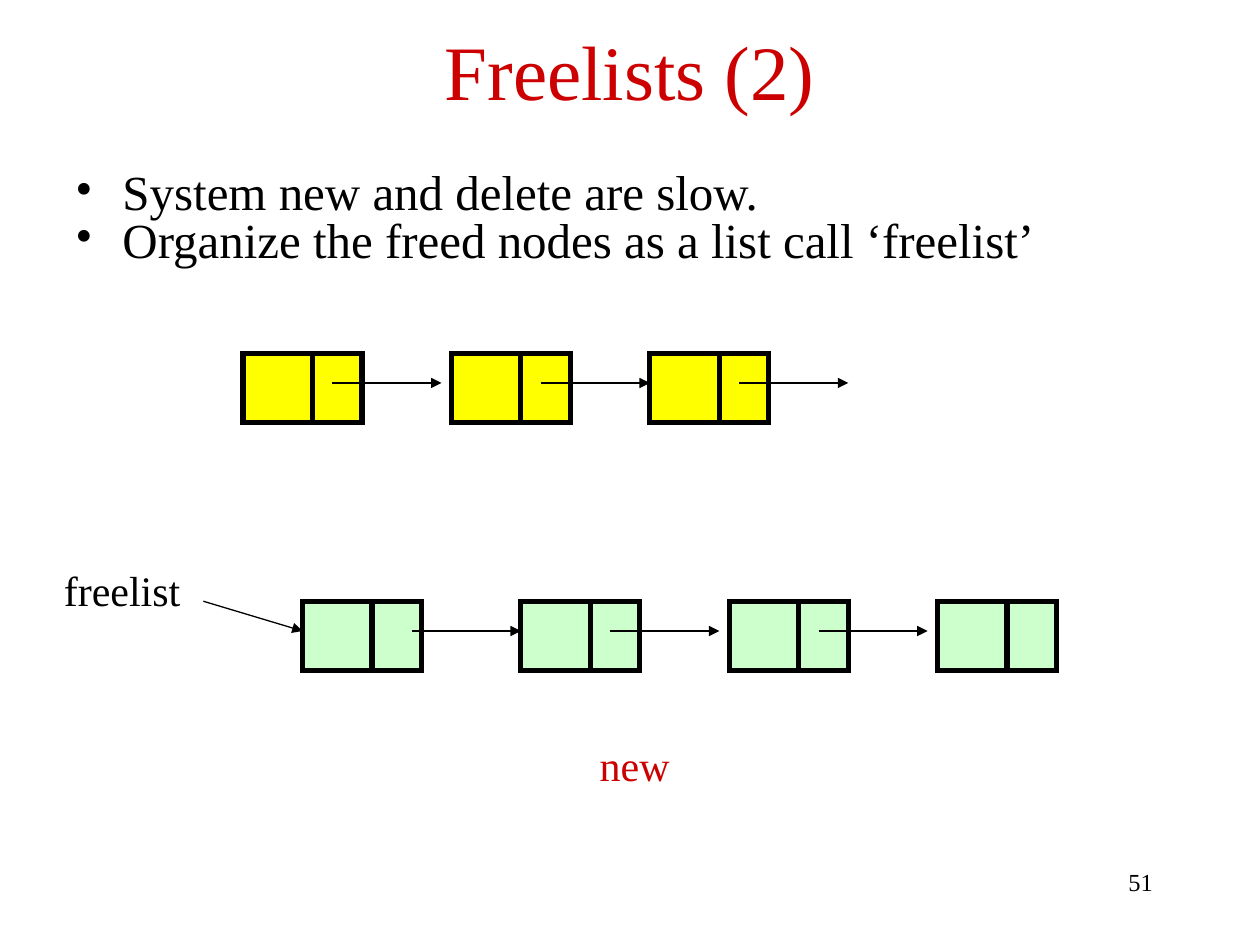
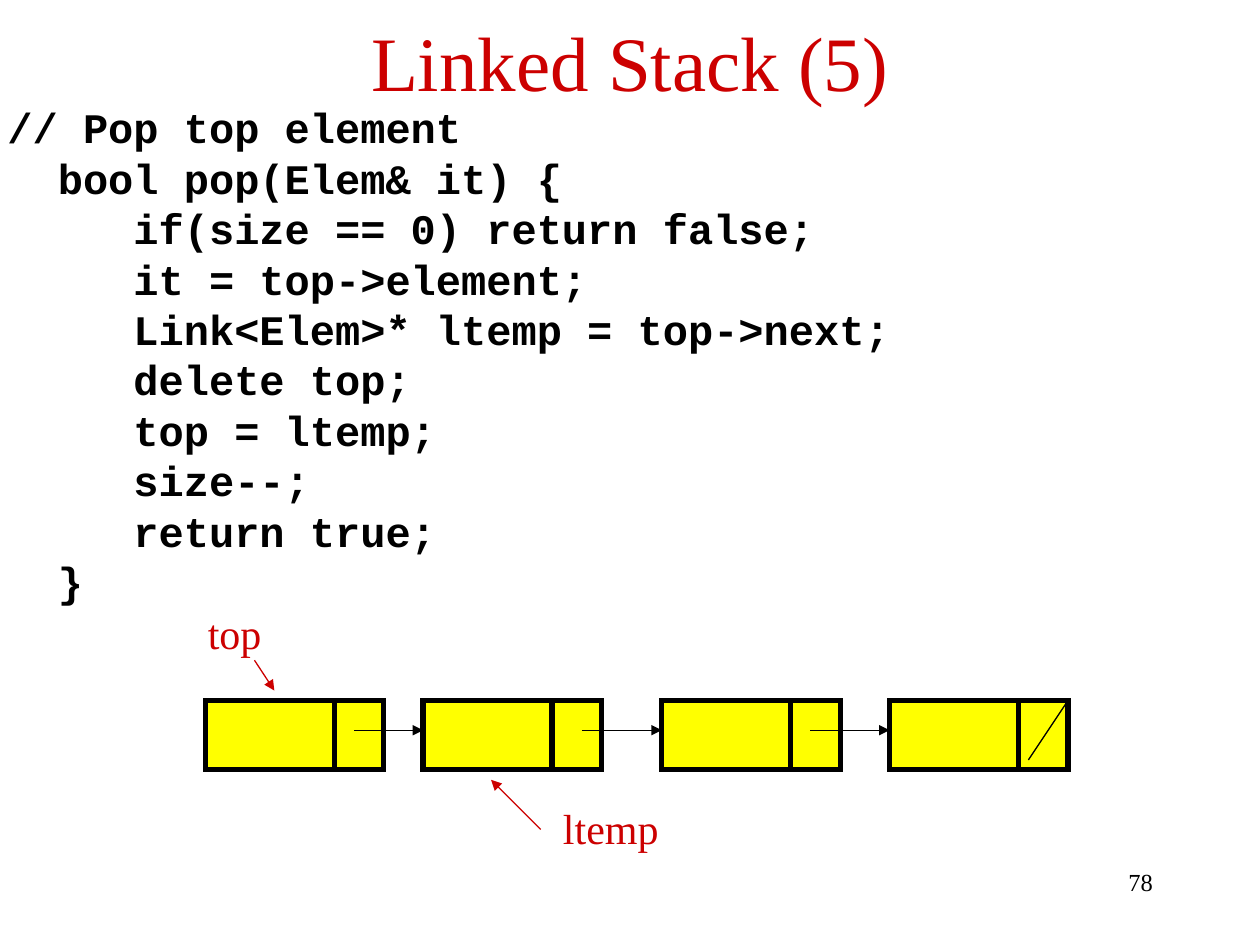
from lxml.etree import SubElement
from pptx import Presentation
from pptx.dml.color import RGBColor
from pptx.enum.shapes import MSO_CONNECTOR as Line, MSO_SHAPE as Shape
from pptx.enum.text import MSO_ANCHOR as Anchor, PP_ALIGN as Align
from pptx.oxml.ns import qn
from pptx.util import Cm, Pt

BLACK, RED, YELLOW, GREEN = "000000", "CC0000", "FFFF00", "CCFFCC"
SERIF, MONO = "Times New Roman", "Courier New"
NODE_HEIGHT, LINK_DROP, POINTER_CELL = 1.4, 0.6, 1.0

# Content; all places are in centimetres
BULLETS = [
    "System new and delete are slow.",
    "Organize the freed nodes as a list call ‘freelist’",
]
POP_CODE = [
    "// Pop top element",
    "  bool pop(Elem& it) {",
    "     if(size == 0) return false;",
    "     it = top->element;",
    "     Link<Elem>* ltemp = top->next;",
    "     delete top;",
    "     top = ltemp;",
    "     size--;",
    "     return true;",
    "  }",
]
# Each list has node left edges and the (from, to) of its links
USED_LIST = dict(top=7.12, width=2.4, fill=YELLOW, nodes=[4.9, 9.1, 13.1],
                 links=[(6.7, 8.9), (10.9, 13.1), (14.9, 17.1)])
FREE_LIST = dict(top=12.12, width=2.4, fill=GREEN, nodes=[6.1, 10.5, 14.7, 18.9],
                 links=[(8.3, 10.5), (12.3, 14.5), (16.5, 18.7)])
STACK_LIST = dict(top=14.12, width=3.6, fill=YELLOW, nodes=[4.14, 8.53, 13.34, 17.93],
                  links=[(7.14, 8.53), (11.73, 13.34), (16.33, 17.93)])
SLIDES = [
    dict(title="Freelists (2)", title_top=0.13, number="51", bullets=BULLETS,
         lists=[USED_LIST, FREE_LIST],
         labels=[("new", RED, 11.84, 14.78, 2.2), ("freelist", BLACK, 1.04, 11.25, 3.1)],
         pointers=[(4.1, 12.12, 6.1, 12.72, BLACK, True)]),
    dict(title="Linked Stack (5)", title_top=-0.05, number="78", code=POP_CODE,
         lists=[STACK_LIST],
         labels=[("top", RED, 3.94, 12.12, 1.9), ("ltemp", RED, 11.1, 16.05, 2.7)],
         pointers=[(5.13, 13.31, 5.53, 13.92, RED, True),
                   (10.9, 16.72, 9.9, 15.72, RED, True),
                   (20.73, 15.32, 21.53, 14.12, BLACK, False)]),
]


def color(value):
    return RGBColor.from_string(value)


def add_text(slide, lines, left, top, width, height, size, ink=BLACK, font=SERIF,
             bold=False, align=Align.LEFT):
    box = slide.shapes.add_textbox(Cm(left), Cm(top), Cm(width), Cm(height))
    frame = box.text_frame
    frame.word_wrap = True
    for index, line in enumerate(lines):
        paragraph = frame.paragraphs[0] if index == 0 else frame.add_paragraph()
        paragraph.text = line
        paragraph.alignment = align
        style = paragraph.font
        style.name, style.size, style.bold = font, Pt(size), bold
        style.color.rgb = color(ink)
    return frame


def add_bullets(slide, lines):
    frame = add_text(slide, lines, 1.27, 3.56, 22.86, 12.7, 28)
    for index, paragraph in enumerate(frame.paragraphs):
        paragraph.line_spacing = 0.6
        if index:
            paragraph.space_before = Pt(7)
        properties = paragraph._p.get_or_add_pPr()
        properties.set("marL", str(Cm(0.95)))
        properties.set("indent", str(-Cm(0.95)))
        # The bullet precedes the font defaults in the schema
        defaults = properties.find(qn("a:defRPr"))
        for tag, key, value in [("a:buFont", "typeface", SERIF), ("a:buChar", "char", "•")]:
            part = SubElement(properties, qn(tag))
            part.set(key, value)
            defaults.addprevious(part)


def add_line(slide, x1, y1, x2, y2, ink=BLACK, arrow=False, weight=0.75):
    line = slide.shapes.add_connector(Line.STRAIGHT, Cm(x1), Cm(y1), Cm(x2), Cm(y2))
    line.line.color.rgb = color(ink)
    line.line.width = Pt(weight)
    if arrow:
        SubElement(line.line._get_or_add_ln(), qn("a:tailEnd")).set("type", "triangle")
    SubElement(line._element.spPr, qn("a:effectLst"))


def add_linked_list(slide, top, width, fill, nodes, links):
    for left in nodes:
        node = slide.shapes.add_shape(Shape.RECTANGLE, Cm(left), Cm(top),
                                      Cm(width), Cm(NODE_HEIGHT))
        node.shadow.inherit = False
        node.fill.solid()
        node.fill.fore_color.rgb = color(fill)
        node.line.color.rgb = color(BLACK)
        node.line.width = Pt(3)
        # Square corners
        SubElement(node.line._get_or_add_ln(), qn("a:miter")).set("lim", "800000")
        divider = left + width - POINTER_CELL
        add_line(slide, divider, top, divider, top + NODE_HEIGHT, weight=3)
    for start, end in links:
        add_line(slide, start, top + LINK_DROP, end, top + LINK_DROP, arrow=True)


def build_slide(deck, content):
    slide = deck.slides.add_slide(deck.slide_layouts[6])
    # Title and slide number
    title = add_text(slide, [content["title"]], 1.27, content["title_top"], 22.86, 2.54,
                     44, RED, align=Align.CENTER)
    title.vertical_anchor = Anchor.MIDDLE
    add_text(slide, [content["number"]], 18.21, 17.35, 5.28, 1.27, 14, align=Align.RIGHT)
    # Main text
    if "bullets" in content:
        add_bullets(slide, content["bullets"])
    if "code" in content:
        add_text(slide, content["code"], -0.1, 1.93, 25.5, 10.41, 24, font=MONO, bold=True)
    # Diagram
    for linked_list in content["lists"]:
        add_linked_list(slide, **linked_list)
    for label, ink, left, top, width in content["labels"]:
        add_text(slide, [label], left, top, width, 1.27, 24, ink)
    for pointer in content["pointers"]:
        add_line(slide, *pointer)


def main():
    deck = Presentation()
    deck.slide_width, deck.slide_height = Cm(25.4), Cm(19.05)
    for content in SLIDES:
        build_slide(deck, content)
    deck.save("out.pptx")


if __name__ == "__main__":
    main()
